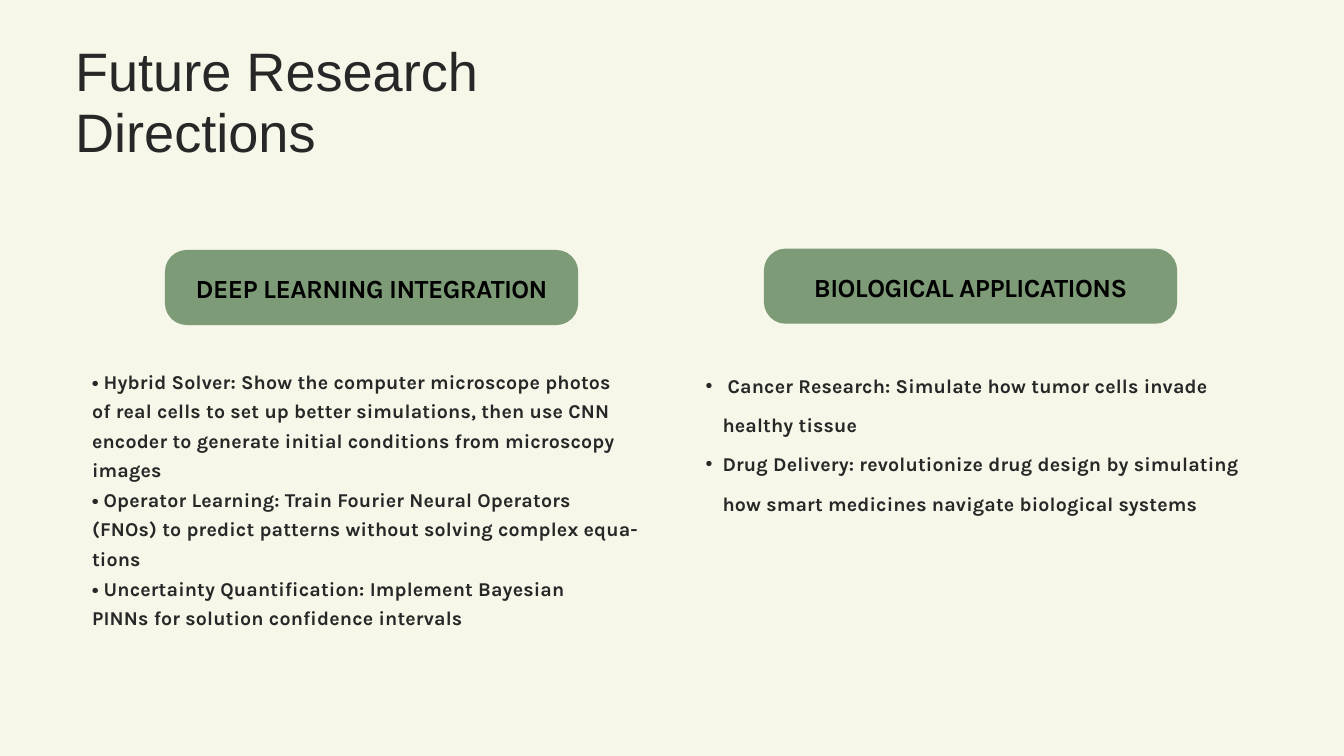
from lxml import etree
from pptx import Presentation
from pptx.dml.color import RGBColor
from pptx.enum.shapes import MSO_SHAPE
from pptx.enum.text import PP_ALIGN
from pptx.oxml.ns import qn
from pptx.util import Cm, Pt

ROUNDED = MSO_SHAPE.ROUNDED_RECTANGLE
LEFT, CENTER = PP_ALIGN.LEFT, PP_ALIGN.CENTER

CREAM, GREEN, INK, BLACK = "F6F6E9", "7D9B76", "272727", "000000"
BADGE_WIDTH, BADGE_HEIGHT = 15.62, 2.84

DEEP_LEARNING = [
    "• Hybrid Solver: Show the computer microscope photos",
    "of real cells to set up better simulations, then use CNN",
    "encoder to generate initial conditions from microscopy",
    "images",
    "• Operator Learning: Train Fourier Neural Operators",
    "(FNOs) to predict patterns without solving complex equa-",
    "tions",
    "• Uncertainty Quantification: Implement Bayesian",
    "PINNs for solution confidence intervals",
]
BIOLOGY = [
    " Cancer Research: Simulate how tumor cells invade healthy tissue",
    "Drug Delivery: revolutionize drug design by simulating "
    "how smart medicines navigate biological systems",
]


def color(value):
    return RGBColor.from_string(value)


def add_bullet(para):
    """Give a paragraph a hanging round bullet."""
    properties = para._p.get_or_add_pPr()
    properties.set("marL", str(Cm(1.27)))
    properties.set("indent", str(-Cm(0.64)))
    font = etree.SubElement(properties, qn("a:buFont"))
    font.set("typeface", "Arial")
    bullet = etree.SubElement(properties, qn("a:buChar"))
    bullet.set("char", "•")


def add_text(page, left, top, width, height, lines, size, leading,
             font="Karla", ink=INK, bold=True, tracking=0, align=LEFT,
             bulleted=False):
    box = page.shapes.add_textbox(Cm(left), Cm(top), Cm(width), Cm(height))
    frame = box.text_frame
    frame.word_wrap = True
    frame.margin_left = frame.margin_right = 0
    frame.margin_top = frame.margin_bottom = 0
    for index, line in enumerate(lines):
        para = frame.add_paragraph() if index else frame.paragraphs[0]
        if bulleted:
            add_bullet(para)
        para.alignment = align
        para.line_spacing = Pt(leading)
        span = para.add_run()
        span.text = line
        span.font.name = font
        span.font.size = Pt(size)
        span.font.bold = bold
        span.font.color.rgb = color(ink)
        if tracking:
            span._r.get_or_add_rPr().set("spc", str(round(tracking * 100)))


def add_title(page, left, top, width, height):
    add_text(page, left, top, width, height, ["Future Research Directions"],
             58, 66.1, font="Arial", bold=False)


def add_topic(page, left, top, width, heading, lines, body_drop, body_height,
              leading, bulleted=False):
    # Badge, centred over the body text
    badge_left = left + (width - BADGE_WIDTH) / 2
    badge = page.shapes.add_shape(ROUNDED, Cm(badge_left), Cm(top),
                                  Cm(BADGE_WIDTH), Cm(BADGE_HEIGHT))
    badge.adjustments[0] = 0.29
    badge.shadow.inherit = False
    badge.fill.solid()
    badge.fill.fore_color.rgb = color(GREEN)
    badge.line.fill.background()

    # Heading on the badge
    add_text(page, badge_left, top + 0.86, BADGE_WIDTH, 1.18, [heading],
             28, 33.6, ink=BLACK, tracking=-0.6, align=CENTER)

    # Body text
    add_text(page, left, top + body_drop, width, body_height, lines,
             21, leading, tracking=0.2, bulleted=bulleted)


def main():
    deck = Presentation()
    deck.slide_width, deck.slide_height = Cm(50.8), Cm(28.58)
    page = deck.slides.add_slide(deck.slide_layouts[6])
    page.background.fill.solid()
    page.background.fill.fore_color.rgb = color(CREAM)

    add_title(page, 2.84, 1.52, 16.89, 4.72)
    add_topic(page, 3.48, 9.45, 21.13, "DEEP LEARNING INTEGRATION",
              DEEP_LEARNING, 4.29, 9.88, 31.7)
    add_topic(page, 26.04, 9.4, 21.29, "BIOLOGICAL APPLICATIONS",
              BIOLOGY, 4.14, 7.16, 42, bulleted=True)
    deck.save("out.pptx")


if __name__ == "__main__":
    main()
